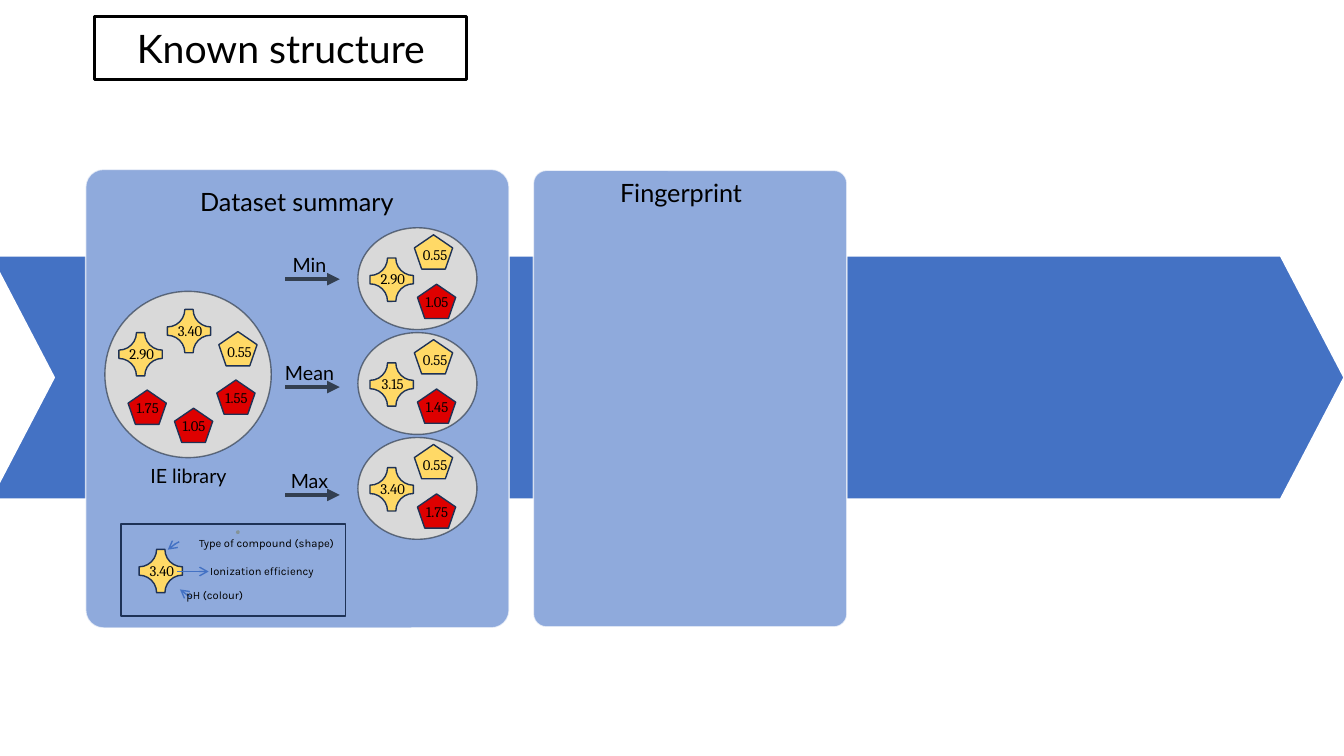
"""Build the slide on summarising an ionization efficiency library by structure."""
import pptx
import pptx.util
import pptx.dml.color
import pptx.enum.shapes
import pptx.enum.text
from lxml import etree

SHAPE = pptx.enum.shapes.MSO_SHAPE
COLUMNS, ROWS = 13.33, 7.5
THEME = {
    "band": "4472C4", "panel": "8FAADC", "white": "FFFFFF", "black": "000000",
    "dish": "D9D9D9", "slate": "333F50", "navy": "1E3256", "mark": "849398",
    "yellow": "FFD966", "red": "DE0000",
    "title": ("Lato", 28), "heading": ("Lato", 18), "label": ("Lato", 14),
    "value": ("Cambria", 10.5), "legend": ("Karla", 8),
}
TITLE = ("Known structure", (0.94, 0.16, 3.69, 0.63))
PANELS = [(0.85, 1.68, 4.2, 4.55), (5.29, 1.69, 3.11, 4.53)]
TEXTS = [
    ("Dataset summary", "heading", (1.85, 1.8, 2.19, 0.4)),
    ("Fingerprint", "heading", (5.66, 1.71, 2.19, 0.4)),
    ("IE library", "label", (1.04, 4.55, 1.66, 0.34)),
    ("Type of compound (shape)", "legend", (1.86, 5.27, 1.57, 0.24)),
    ("Ionization efficiency", "legend", (1.97, 5.55, 1.26, 0.24)),
    ("pH (colour)", "legend", (1.73, 5.79, 0.8, 0.24)),
]
COMPOUNDS = {
    "plaque": (SHAPE.PLAQUE, "yellow", (0.43, 0.43), (-0.05, 0.07)),
    "yellow": (SHAPE.REGULAR_PENTAGON, "yellow", (0.38, 0.34), (-0.07, 0.06)),
    "red": (SHAPE.REGULAR_PENTAGON, "red", (0.38, 0.34), (-0.08, 0.04)),
}
LIBRARY_DISH = (1.04, 2.89, 1.65, 1.65)
LIBRARY = [
    ("red", "1.75", 1.27, 3.87), ("red", "1.55", 2.15, 3.77),
    ("red", "1.05", 1.73, 4.05), ("yellow", "0.55", 2.17, 3.29),
    ("plaque", "2.90", 1.18, 3.3), ("plaque", "3.40", 1.66, 3.07),
]
SUMMARIES = [
    ("Min", "1.05", "0.55", "2.90"),
    ("Mean", "1.45", "0.55", "3.15"),
    ("Max", "1.75", "0.55", "3.40"),
]
SUMMARY_SPOTS = [("red", 0.59, 0.56), ("yellow", 0.56, 0.07), ("plaque", 0.12, 0.3)]
SUMMARY_DISH = (3.55, 2.26, 1.18, 1.01)
DISH_PITCH, ARROW_PITCH = 1.04, 1.07
LEGEND_FRAME = (1.2, 5.2, 2.23, 0.91)
LEGEND_ARCS = [((1.72, 5.34, 0.53, 0.66), 306.8, False), ((1.6, 5.3, 0.53, 0.66), 53.2, True)]

presentation = pptx.Presentation()
presentation.slide_width = pptx.util.Inches(COLUMNS)
presentation.slide_height = pptx.util.Inches(ROWS)
slide = presentation.slides.add_slide(presentation.slide_layouts[5])


def grid(*cells):
    return [round(cell * presentation.slide_width / COLUMNS) for cell in cells]


def color(name):
    return pptx.dml.color.RGBColor.from_string(THEME[name])


def add_xml(parent, tag, **attributes):
    return etree.SubElement(parent, pptx.oxml.ns.qn(tag), attributes)


def set_outline(shape, name, width=1, opacity=None):
    shape.line.color.rgb = color(name)
    shape.line.width = pptx.util.Pt(width)
    if opacity:
        solid = shape.line.fill._xPr.find(".//" + pptx.oxml.ns.qn("a:srgbClr"))
        add_xml(solid, "a:alpha", val=str(opacity * 1000))


def add_figure(shapes, kind, box, fill, outline, width=1, opacity=None, adjustments=()):
    shape = shapes.add_shape(kind, *grid(*box))
    shape.shadow.inherit = False
    if fill:
        shape.fill.solid()
        shape.fill.fore_color.rgb = color(fill)
    else:
        shape.fill.background()
    set_outline(shape, outline, width, opacity)
    for index, value in enumerate(adjustments):
        shape.adjustments[index] = value
    return shape


def write(shape, text, style):
    frame = shape.text_frame
    frame.text = text
    frame.word_wrap = False
    paragraph = frame.paragraphs[0]
    paragraph.alignment = pptx.enum.text.PP_ALIGN.CENTER
    name, size = THEME[style]
    paragraph.font.name = name
    paragraph.font.size = pptx.util.Pt(size)
    paragraph.font.color.rgb = color("black")


def add_text(shapes, text, style, box):
    write(shapes.add_textbox(*grid(*box)), text, style)


def add_arrowhead(shape, kind):
    add_xml(shape.line._get_or_add_ln(), "a:tailEnd", type=kind)


def add_arrow(left, right, y, name, width, head):
    arrow = slide.shapes.add_connector(
        pptx.enum.shapes.MSO_CONNECTOR.STRAIGHT, *grid(left, y, right, y))
    set_outline(arrow, name, width)
    add_arrowhead(arrow, head)
    add_xml(arrow._element.spPr, "a:effectLst")


def add_compound(shapes, kind, value, left, top):
    preset, fill, size, (shift_x, shift_y) = COMPOUNDS[kind]
    adjustments = [0.404] if kind == "plaque" else []
    add_figure(shapes, preset, (left, top, *size), fill, "navy", adjustments=adjustments)
    add_text(shapes, value, "value", (left + shift_x, top + shift_y, 0.55, 0.29))


def add_title():
    text, box = TITLE
    title = slide.shapes.title
    title.left, title.top, title.width, title.height = grid(*box)
    geometry = add_xml(title._element.spPr, "a:prstGeom", prst="roundRect")
    add_xml(geometry, "a:avLst")
    title.fill.solid()
    title.fill.fore_color.rgb = color("white")
    set_outline(title, "black", 2.25)
    write(title, text, "title")
    title.text_frame.vertical_anchor = pptx.enum.text.MSO_ANCHOR.MIDDLE


def add_summary(row, name, values):
    arrow_shift = row * ARROW_PITCH
    add_arrow(2.83, 3.37, 2.77 + arrow_shift, "slate", 3, "triangle")
    add_text(slide.shapes, name, "label", (2.72, 2.46 + arrow_shift, 0.7, 0.34))
    left, top, width, height = SUMMARY_DISH
    top += row * DISH_PITCH
    group = slide.shapes.add_group_shape().shapes
    add_figure(group, SHAPE.OVAL, (left, top, width, height), "dish", "slate", opacity=70)
    for (kind, x, y), value in zip(SUMMARY_SPOTS, values):
        add_compound(group, kind, value, left + x, top + y)


def add_legend():
    add_figure(slide.shapes, SHAPE.RECTANGLE, LEGEND_FRAME, None, "navy")
    mark = add_figure(slide.shapes, SHAPE.ISOSCELES_TRIANGLE, (2.36, 5.28, 0, 0),
                      None, "mark", 2.83)
    mark.rotation = 127.3
    add_compound(slide.shapes, "plaque", "3.40", 1.38, 5.45)
    for box, rotation, flipped in LEGEND_ARCS:
        arc = add_figure(slide.shapes, SHAPE.ARC, box, None, "band",
                         adjustments=[162 * 0.6, 191.62 * 0.6])
        arc.rotation = rotation
        if flipped:
            arc._element.spPr.xfrm.set("flipV", "1")
        add_arrowhead(arc, "arrow")
    add_arrow(1.76, 2.07, 5.67, "band", 1, "arrow")


def main():
    add_title()
    add_figure(slide.shapes, SHAPE.CHEVRON, (-0.09, 2.54, 13.42, 2.41), "band", "white",
               adjustments=[0.261])
    for box in PANELS:
        add_figure(slide.shapes, SHAPE.ROUNDED_RECTANGLE, box, "panel", "white",
                   opacity=70, adjustments=[0.042])
    add_figure(slide.shapes, SHAPE.OVAL, LIBRARY_DISH, "dish", "slate", opacity=70)
    for compound in LIBRARY:
        add_compound(slide.shapes, *compound)
    for row, (name, *values) in enumerate(SUMMARIES):
        add_summary(row, name, values)
    add_legend()
    for text in TEXTS:
        add_text(slide.shapes, *text)
    presentation.save("out.pptx")


if __name__ == "__main__":
    main()
